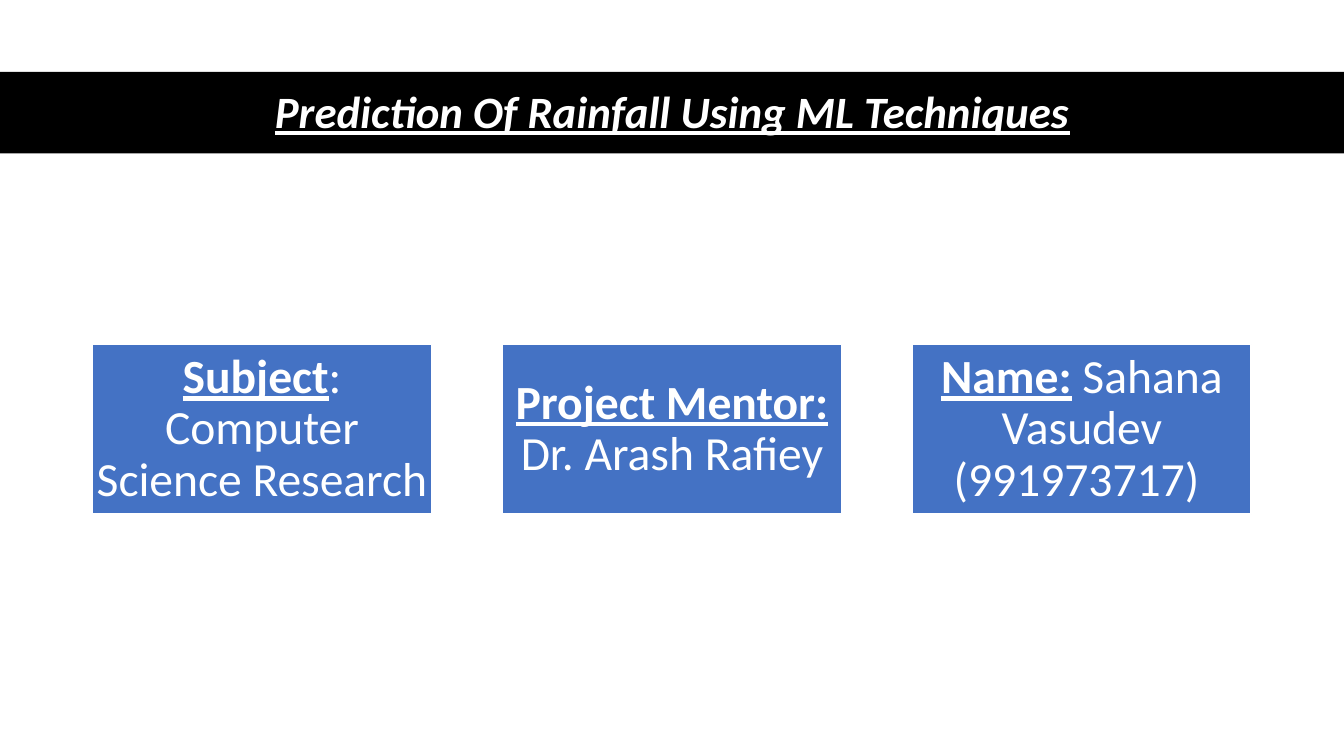
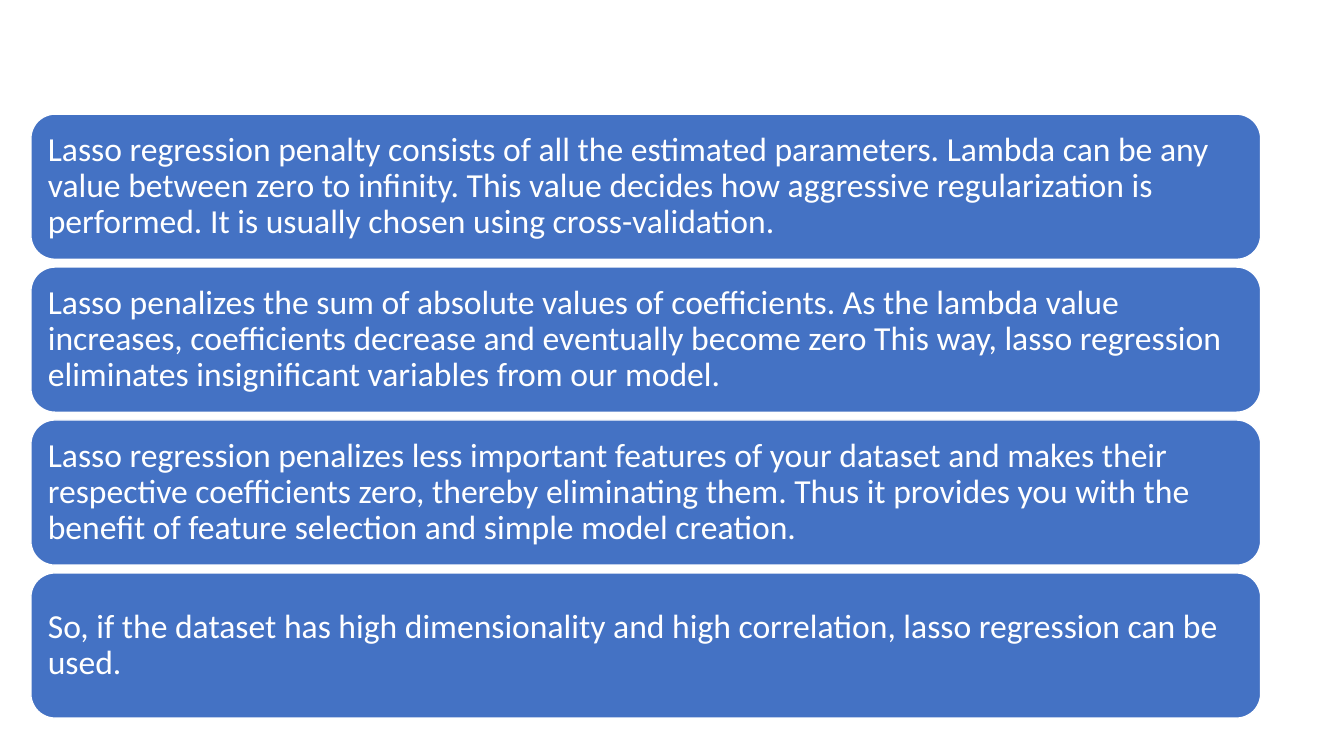
"""Build the rainfall prediction opening slide and the lasso regression slide."""
import pptx
import pptx.util
import pptx.dml.color
import pptx.enum.shapes
import pptx.enum.text

COLORS = {"band": "000000", "card": "4472C4", "paper": "FFFFFF"}
FONT = "Calibri"
RECT = pptx.enum.shapes.MSO_SHAPE.RECTANGLE
ROUNDED = pptx.enum.shapes.MSO_SHAPE.ROUNDED_RECTANGLE
LEFT = pptx.enum.text.PP_ALIGN.LEFT
CENTER = pptx.enum.text.PP_ALIGN.CENTER
STRONG = {"bold": True, "underline": True}
PLAIN = {"bold": False, "underline": False}


def color(name):
    return pptx.dml.color.RGBColor.from_string(COLORS[name])


class Deck:
    """Hold the shared style and the current slide, measured on a 100 by 100 grid."""

    def __init__(self):
        self.deck = pptx.Presentation()
        self.deck.slide_width = pptx.util.Inches(13.33)
        self.deck.slide_height = pptx.util.Inches(7.5)
        self.slide = None

    def new_slide(self):
        self.slide = self.deck.slides.add_slide(self.deck.slide_layouts[6])

    def area(self, left, top, width, height):
        column = self.deck.slide_width / 100
        row = self.deck.slide_height / 100
        return [round(n) for n in (left * column, top * row, width * column, height * row)]

    def block(self, area, fill, outline=None, kind=RECT):
        block = self.slide.shapes.add_shape(kind, *self.area(*area))
        block.shadow.inherit = False
        block.fill.solid()
        block.fill.fore_color.rgb = color(fill)
        if outline:
            block.line.color.rgb = color(outline)
            block.line.width = pptx.util.Pt(1)
        else:
            block.line.fill.background()
        return block

    def set_text(self, holder, runs, size, align, inset):
        frame = holder.text_frame
        frame.word_wrap = True
        frame.vertical_anchor = pptx.enum.text.MSO_ANCHOR.MIDDLE
        for side in ("left", "top", "right", "bottom"):
            setattr(frame, f"margin_{side}", pptx.util.Inches(inset))
        paragraph = frame.paragraphs[0]
        paragraph.alignment = align
        paragraph.line_spacing = 0.9
        for words, extra in runs:
            run = paragraph.add_run()
            run.text = words
            look = {"name": FONT, "size": pptx.util.Pt(size), **extra}
            for key, value in look.items():
                setattr(run.font, key, value)
            run.font.color.rgb = color("paper")

    def title(self, words):
        self.block((0, 9.5, 100, 10.8), "band")
        heading = self.slide.shapes.add_textbox(*self.area(6.9, 9.87, 86.25, 10.4))
        self.set_text(heading, [(words, {**STRONG, "italic": True})], 32, CENTER, 0.05)

    def card(self, index, label, detail):
        card = self.block((6.9 + index * 30.5, 45.6, 25.2, 22.4), "card", "paper")
        self.set_text(card, [(label, STRONG), (detail, PLAIN)], 34, CENTER, 0.02)

    def panel(self, index, words):
        panel = self.block((2.3, 15.1 + index * 20.23, 91.5, 19.2), "card", "paper", ROUNDED)
        self.set_text(panel, [(words, {})], 24, LEFT, 0.1)


DETAILS = [
    ("Subject", ": Computer Science Research"),
    ("Project Mentor:", " Dr. Arash Rafiey"),
    ("Name:", " Sahana Vasudev (991973717) "),
]
LASSO_POINTS = [
    "Lasso regression penalty consists of all the estimated parameters. Lambda can be any "
    "value between zero to infinity. This value decides how aggressive regularization is "
    "performed. It is usually chosen using cross-validation.\u00a0",
    "Lasso penalizes the sum of absolute values of coefficients. As the lambda value "
    "increases, coefficients decrease and eventually become zero This way, lasso regression "
    "eliminates insignificant variables from our model.",
    "Lasso regression penalizes\u00a0less important features of your dataset and makes their "
    "respective coefficients zero, thereby eliminating them. Thus it provides you with the "
    "benefit of feature selection and simple model creation.\u00a0",
    "So, if the dataset has high dimensionality and high correlation, lasso regression can be "
    "used.",
]

talk = Deck()
talk.new_slide()
talk.title("Prediction Of Rainfall Using ML Techniques")
for position, (label, detail) in enumerate(DETAILS):
    talk.card(position, label, detail)

talk.new_slide()
for position, point in enumerate(LASSO_POINTS):
    talk.panel(position, point)

talk.deck.save("out.pptx")
